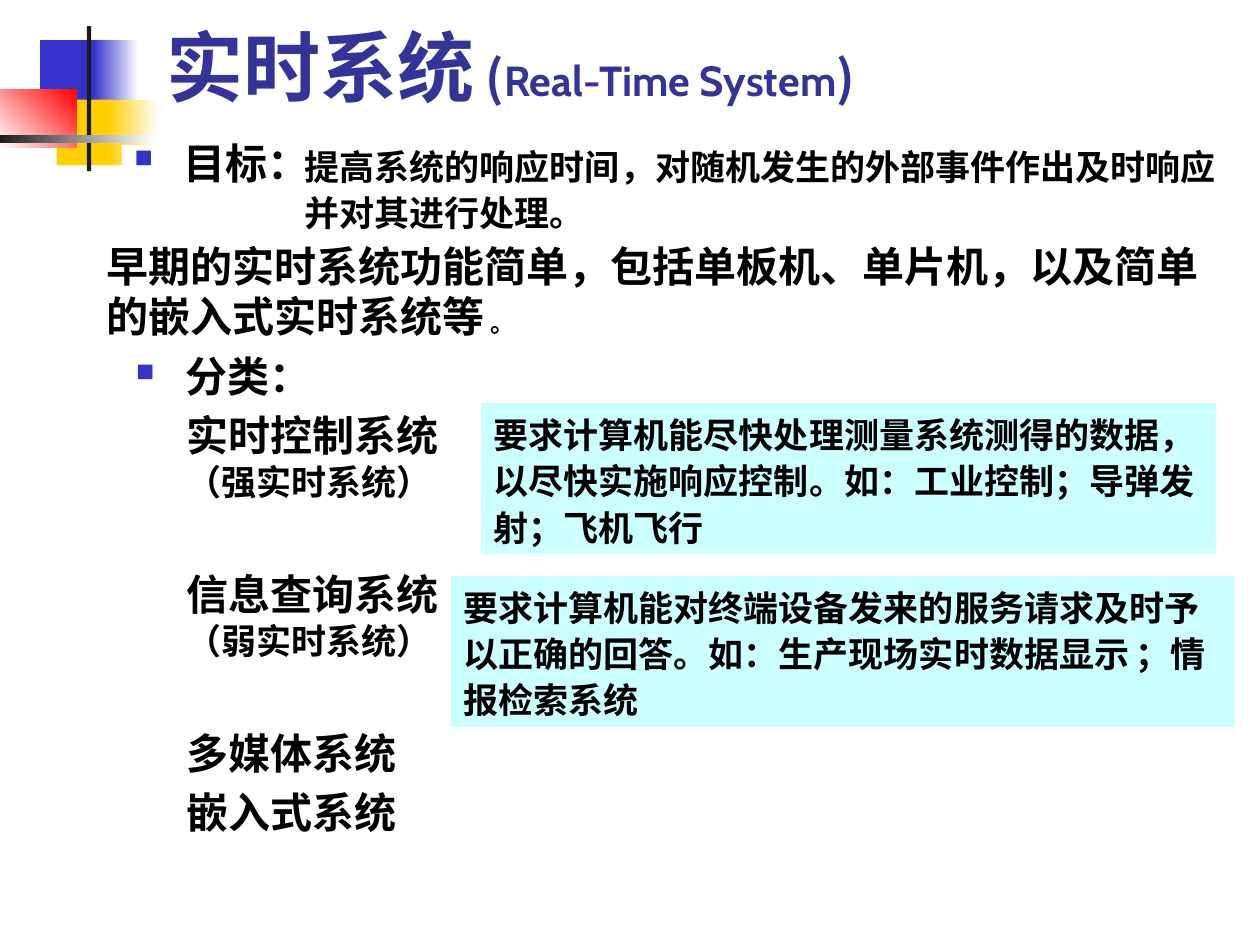
from lxml.etree import SubElement
from pptx import Presentation
from pptx.dml.color import RGBColor
from pptx.enum.shapes import MSO_SHAPE
from pptx.enum.text import MSO_ANCHOR, MSO_AUTO_SIZE, PP_ALIGN
from pptx.oxml.ns import qn
from pptx.util import Cm, Pt

LATIN = "Cabin"
CHINESE = "Noto Sans CJK SC"
BLUE = "3333CC"
GOLD = "FFCF01"
DARK = "1C1C1C"
WHITE = "FFFFFF"
BLACK = "000000"
CYAN = "CCFFFF"
TITLE_BLUE = "333399"


def color(value):
    return RGBColor.from_string(value)


def place(shape, left, top, width, height):
    shape.left, shape.top = Cm(left), Cm(top)
    shape.width, shape.height = Cm(width), Cm(height)


def add_block(page, area, start, end=None, angle=0):
    block = page.shapes.add_shape(MSO_SHAPE.RECTANGLE, *map(Cm, area))
    block.shadow.inherit = False
    block.line.fill.background()
    if end is None:
        block.fill.solid()
        block.fill.fore_color.rgb = color(start)
        return
    block.fill.gradient()
    block.fill.gradient_angle = angle
    for stop, value, position in zip(block.fill.gradient_stops, (start, end), (0, 1)):
        stop.color.rgb = color(value)
        stop.position = position


def add_decoration(page):
    add_block(page, (0.81, 0.81, 1.22, 1.32), BLUE)
    add_block(page, (1.88, 0.81, 0.91, 1.32), BLUE, WHITE)
    add_block(page, (1.14, 2.01, 1.17, 1.32), GOLD)
    add_block(page, (2.18, 2.01, 1.02, 1.32), GOLD, WHITE)
    add_block(page, (0, 1.8, 1.55, 1.17), WHITE, "FF0000", 45)
    add_block(page, (1.75, 0.53, 0.09, 2.92), DARK)
    add_block(page, (0, 2.72, 3.1, 0.16), DARK, WHITE)


def add_span(para, text, size, value=BLACK, latin=LATIN):
    span = para.add_run()
    span.text = text
    span.font.size = Pt(size)
    span.font.bold = True
    span.font.color.rgb = color(value)
    span.font.name = latin
    SubElement(span.font._element, qn("a:ea"), typeface=CHINESE)


def add_bullet(para):
    properties = para._p.get_or_add_pPr()
    properties.set("marL", str(Cm(1)))
    properties.set("indent", str(-Cm(1)))
    bullet_color = SubElement(properties, qn("a:buClr"))
    SubElement(bullet_color, qn("a:srgbClr"), val=BLUE)
    SubElement(properties, qn("a:buSzPct"), val="60000")
    SubElement(properties, qn("a:buChar"), char="■")


def add_text(page, area, paragraphs, spacing=1.0, fill=None, bullet=False,
             anchor=MSO_ANCHOR.TOP, resize=MSO_AUTO_SIZE.SHAPE_TO_FIT_TEXT):
    box = page.shapes.add_textbox(*map(Cm, area))
    if fill:
        box.fill.solid()
        box.fill.fore_color.rgb = color(fill)
    frame = box.text_frame
    frame.word_wrap = True
    frame.auto_size = resize
    frame.vertical_anchor = anchor
    for index, spans in enumerate(paragraphs):
        para = frame.add_paragraph() if index else frame.paragraphs[0]
        if bullet:
            add_bullet(para)
        para.line_spacing = spacing
        if index:
            para.space_before = Pt(5)
        for text, size in spans:
            add_span(para, text, size)


def add_heading(page, area, text, spacing, fill=None):
    add_text(page, area, [[(text, 24)]], spacing, fill, bullet=True,
             resize=MSO_AUTO_SIZE.NONE)


def format_title(page):
    title = page.shapes.title
    place(title, 3.1, -0.08, 21.64, 2.46)
    frame = title.text_frame
    frame.word_wrap = True
    frame.auto_size = MSO_AUTO_SIZE.NONE
    frame.vertical_anchor = MSO_ANCHOR.BOTTOM
    para = frame.paragraphs[0]
    para.alignment = PP_ALIGN.LEFT
    add_span(para, "实时系统", 44, TITLE_BLUE)
    add_span(para, " (", 28, TITLE_BLUE, CHINESE)
    add_span(para, "Real-Time System", 24, TITLE_BLUE)
    add_span(para, ")", 28, TITLE_BLUE, CHINESE)


def add_categories(page):
    categories = [
        (8.33, [[("实时控制系统", 24)], [("（强实时系统）", 20)]]),
        (11.53, [[("信息查询系统", 24)], [("（弱实时系统）", 20)]]),
        (14.73, [[("多媒体系统", 24)]]),
        (15.93, [[("嵌入式系统", 24)]]),
    ]
    for top, paragraphs in categories:
        height = 1.07 if len(paragraphs) == 1 else 1.93
        add_text(page, (3.51, top, 6.2, height), paragraphs, 0.8)


def add_explanations(page):
    control = [("要求计算机能尽快处理测量系统测得的数据，以尽快实施响应控制。"
                "如：工业控制；导弹发射；飞机飞行", 20)]
    query = [("要求计算机能对终端设备发来的服务请求及时予以正确的回答。"
              "如：生产现场实时数据显示", 20), (" ", 14), ("；情报检索系统", 20)]
    add_text(page, (9.7, 8.13, 14.81, 3.05), [control], 1.1, CYAN)
    add_text(page, (9.09, 11.61, 15.8, 3.05), [query], 1.1, CYAN)


def main():
    deck = Presentation()
    deck.slide_width, deck.slide_height = Cm(25.4), Cm(19.05)
    page = deck.slides.add_slide(deck.slide_layouts[5])
    add_decoration(page)
    format_title(page)
    add_heading(page, (2.46, 2.92, 4.39, 0.99), "目标：", 0.7, WHITE)
    goal = "提高系统的响应时间，对随机发生的外部事件作出及时响应并对其进行处理。"
    add_text(page, (5.89, 2.72, 19.05, 2.13), [[(goal, 20)]], 1.1)
    early = "早期的实时系统功能简单，包括单板机、单片机，以及简单的嵌入式实时系统等"
    add_text(page, (1.9, 4.72, 22.81, 2.29), [[(early, 24), (" 。", 14)]],
             anchor=MSO_ANCHOR.MIDDLE)
    add_heading(page, (2.49, 7.14, 4.39, 1.19), "分类：", 0.8)
    add_categories(page)
    add_explanations(page)
    deck.save("out.pptx")


if __name__ == "__main__":
    main()
